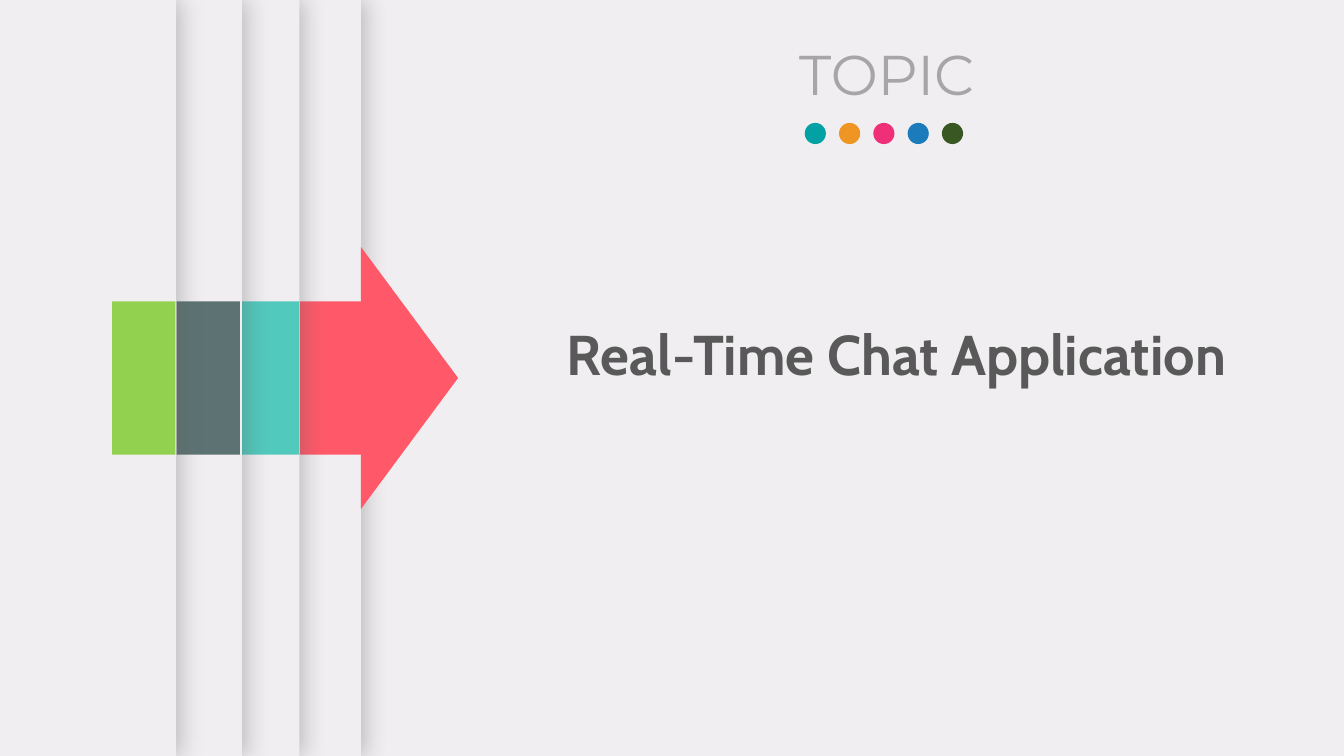
from lxml.etree import SubElement
from pptx import Presentation
from pptx.dml.color import RGBColor
from pptx.enum.shapes import MSO_SHAPE as Shape
from pptx.enum.text import MSO_ANCHOR as Anchor, MSO_AUTO_SIZE as AutoSize, PP_ALIGN as Align
from pptx.oxml.ns import qn
from pptx.util import Pt

COLORS = {
    "paper": "F0EEF0", "shade": "595959", "label": "A6A6A6", "heading": "595959",
    "red": "FF5969", "turquoise": "52C9BD", "slate": "5D7373", "green": "92D050",
    "teal": "03A1A4", "orange": "EE9524", "pink": "EF3078", "blue": "1C7CBB", "forest": "385723",
}
WIDTH, HEIGHT = 960, 540
MIDDLE = HEIGHT / 2
BAND_HEIGHT = 109.4


class TopicSlide:
    def __init__(self, deck):
        self.slide = deck.slides.add_slide(deck.slide_layouts[0])
        backdrop = self.slide.background.fill
        backdrop.solid()
        backdrop.fore_color.rgb = self.color("paper")

    def color(self, name):
        return RGBColor.from_string(COLORS[name])

    def group(self):
        return self.slide.shapes.add_group_shape()

    def block(self, group, kind, left, top, width, height, color):
        block = group.shapes.add_shape(kind, Pt(left), Pt(top), Pt(width), Pt(height))
        block.shadow.inherit = False
        block.fill.solid()
        block.fill.fore_color.rgb = self.color(color)
        block.line.fill.background()
        return block

    def panel(self, group, right):
        """Full-height sheet that casts a soft shadow to its right."""
        sheet = self.block(group, Shape.RECTANGLE, 0, 0, right, HEIGHT, "paper")
        effects = sheet._element.spPr.find(qn("a:effectLst"))
        shadow = SubElement(effects, qn("a:outerShdw"), blurRad=str(Pt(17)),
                            dist=str(Pt(3)), dir="0", algn="l", rotWithShape="0")
        tint = SubElement(shadow, qn("a:srgbClr"), val=COLORS["shade"])
        SubElement(tint, qn("a:alpha"), val="35000")

    def band(self, group, left, right, color):
        self.block(group, Shape.RECTANGLE, left, MIDDLE - BAND_HEIGHT / 2,
                   right - left, BAND_HEIGHT, color)

    def text(self, holder, words, left, top, width, font, color, bold=False):
        holder.left, holder.top, holder.width, holder.height = map(Pt, (left, top, width, 55.7))
        frame = holder.text_frame
        frame.word_wrap = True
        frame.auto_size = AutoSize.NONE
        frame.vertical_anchor = Anchor.TOP
        line = frame.paragraphs[0]
        line.alignment = Align.CENTER
        line.space_before = Pt(0)
        run = line.add_run()
        run.text = words
        run.font.name = font
        run.font.size = Pt(40)
        run.font.bold = bold
        run.font.color.rgb = self.color(color)


def main():
    deck = Presentation()
    deck.slide_width, deck.slide_height = Pt(WIDTH), Pt(HEIGHT)
    topic = TopicSlide(deck)

    # Layered sheets, each with its piece of the arrow
    layers = [
        (257.8, 214.4, 257.9, "red"),
        (213.9, 170.6, 213.9, "turquoise"),
        (172.8, 126.2, 171.4, "slate"),
        (125.6, 80.1, 125.3, "green"),
    ]
    for edge, left, right, color in layers:
        layer = topic.group()
        topic.panel(layer, edge)
        topic.band(layer, left, right, color)
        if color == "red":
            span, depth = 187.2, 69.4
            head = topic.block(layer, Shape.ISOSCELES_TRIANGLE, edge + (depth - span) / 2,
                               MIDDLE - depth / 2, span, depth, color)
            head.rotation = 90

    # Label and project name
    project, label = topic.slide.placeholders
    topic.text(label, "TOPIC", 347, 24.5, 573, "Montserrat", "label")
    topic.text(project, "Real-Time Chat Application", 368.5, 224.6, 543.6,
               "Cabin", "heading", bold=True)

    # Row of dots under the label
    dots = topic.group()
    for index, color in enumerate(("teal", "orange", "pink", "blue", "forest")):
        topic.block(dots, Shape.OVAL, 574.8 + 24.5 * index, 87.8, 15.1, 15.1, color)

    deck.save("out.pptx")


if __name__ == "__main__":
    main()
